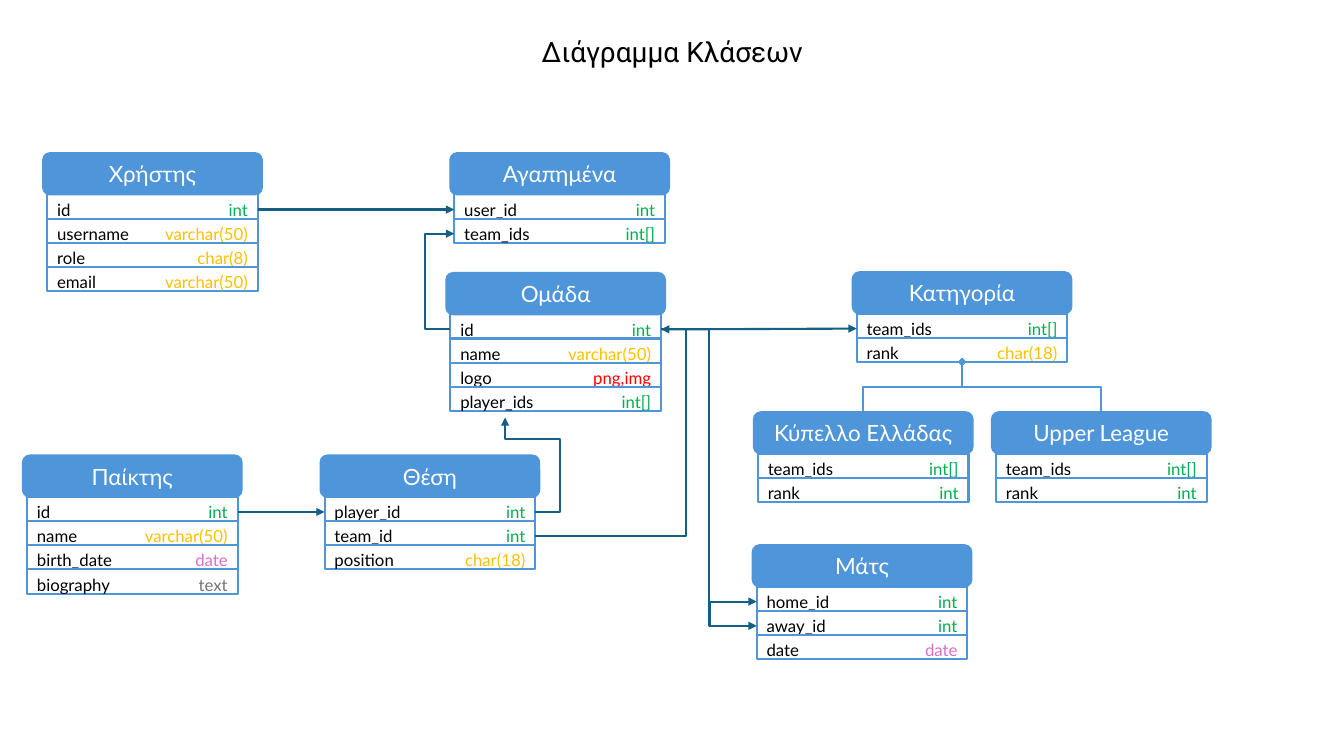
from lxml import etree
from pptx import Presentation
from pptx import util as u
from pptx.dml import color
from pptx.enum import shapes, text
from pptx.oxml import ns

COLOURS = {
    "card": "4E95D9", "link": "156082", "black": "000000", "white": "FFFFFF",
    "int": "00B050", "char": "FFC000", "png": "FF0000", "date": "D86ECC", "text": "747474",
}
HEADER_WIDTH, HEADER_HEIGHT = 5.51, 1.04
INSET, ROW_WIDTH, ROW_HEIGHT = 0.1, 5.31, 0.61
KEY_WIDTH, TYPE_WIDTH, LABEL_HEIGHT = 2.74, 2.59, 0.76

CARDS = {
    "Χρήστης": (1.09, 3.86, [("id", "int"), ("username", "varchar(50)"),
                             ("role", "char(8)"), ("email", "varchar(50)")]),
    "Αγαπημένα": (11.35, 3.86, [("user_id", "int"), ("team_ids", "int[]")]),
    "Ομάδα": (11.25, 6.88, [("id", "int"), ("name", "varchar(50)"),
                            ("logo", "png,img"), ("player_ids", "int[]")]),
    "Παίκτης": (0.58, 11.48, [("id", "int"), ("name", "varchar(50)"),
                              ("birth_date", "date"), ("biography", "text")]),
    "Θέση": (8.08, 11.48, [("player_id", "int"), ("team_id", "int"), ("position", "char(18)")]),
    "Κατηγορία": (21.49, 6.86, [("team_ids", "int[]"), ("rank", "char(18)")]),
    "Κύπελλο Ελλάδας": (19.0, 10.39, [("team_ids", "int[]"), ("rank", "int")]),
    "Upper League": (25.0, 10.39, [("team_ids", "int[]"), ("rank", "int")]),
    "Μάτς": (18.97, 13.74, [("home_id", "int"), ("away_id", "int"), ("date", "date")]),
}


def rgb(name):
    """Return the named colour."""
    return color.RGBColor.from_string(COLOURS[name])


def type_colour(type_name):
    """Return the colour name for a field type."""
    return next(key for key in ("int", "char", "png", "date", "text") if key in type_name)


def write(shape, content, size, font, colour, alignment):
    """Put one styled paragraph in a shape."""
    shape.text_frame.word_wrap = True
    paragraph = shape.text_frame.paragraphs[0]
    paragraph.text = content
    paragraph.alignment = alignment
    paragraph.font.size = u.Pt(size)
    paragraph.font.name = font
    paragraph.font.color.rgb = rgb(colour)
    return paragraph


def add_box(parent, kind, left, top, width, height):
    """Add a card outline shape without fill."""
    shape = parent.add_shape(kind, u.Cm(left), u.Cm(top), u.Cm(width), u.Cm(height))
    shape.shadow.inherit = False
    shape.fill.background()
    shape.line.color.rgb = rgb("card")
    shape.line.width = u.Pt(1.5)
    return shape


def add_label(parent, left, top, width, content, colour, alignment):
    """Add a field name or type."""
    label = parent.add_textbox(u.Cm(left), u.Cm(top), u.Cm(width), u.Cm(LABEL_HEIGHT))
    write(label, content, 12, "Lato", colour, alignment)
    label.text_frame.auto_size = text.MSO_AUTO_SIZE.SHAPE_TO_FIT_TEXT


def add_title(slide, left, top, width, height):
    """Add the slide heading."""
    title = slide.shapes.add_textbox(u.Cm(left), u.Cm(top), u.Cm(width), u.Cm(height))
    title.text_frame.vertical_anchor = text.MSO_ANCHOR.MIDDLE
    paragraph = write(title, "Διάγραμμα Κλάσεων", 20, "Roboto", "black", text.PP_ALIGN.CENTER)
    paragraph.line_spacing = 0.9


def add_card(slide, name, left, top, fields):
    """Add one class card with its header and field rows."""
    parent = slide.shapes.add_group_shape().shapes
    header = add_box(parent, shapes.MSO_SHAPE.ROUNDED_RECTANGLE,
                     left, top, HEADER_WIDTH, HEADER_HEIGHT)
    header.fill.solid()
    header.fill.fore_color.rgb = rgb("card")
    header.text_frame.vertical_anchor = text.MSO_ANCHOR.MIDDLE
    write(header, name, 16, "Lato", "white", text.PP_ALIGN.CENTER)
    row_left = left + INSET
    for index, (key, type_name) in enumerate(fields):
        row_top = top + HEADER_HEIGHT + index * ROW_HEIGHT
        add_box(parent, shapes.MSO_SHAPE.RECTANGLE, row_left, row_top, ROW_WIDTH, ROW_HEIGHT)
        add_label(parent, row_left, row_top, KEY_WIDTH, key, "black", text.PP_ALIGN.LEFT)
        add_label(parent, row_left + ROW_WIDTH - TYPE_WIDTH, row_top, TYPE_WIDTH,
                  type_name, type_colour(type_name), text.PP_ALIGN.RIGHT)


def left_port(name, row):
    """Return the left link point of a field row."""
    left, top, _ = CARDS[name]
    return left + INSET, top + HEADER_HEIGHT + row * ROW_HEIGHT + LABEL_HEIGHT / 2


def right_port(name, row):
    """Return the right link point of a field row."""
    x, y = left_port(name, row)
    return x + ROW_WIDTH, y


def top_port(name):
    """Return the middle of a card's top edge."""
    left, top, _ = CARDS[name]
    return left + HEADER_WIDTH / 2, top


def bottom_port(name):
    """Return the middle of a card's bottom edge."""
    left, top, fields = CARDS[name]
    return left + HEADER_WIDTH / 2, top + HEADER_HEIGHT + len(fields) * ROW_HEIGHT


def add_link(slide, kind, start, end, colour="link", head="triangle"):
    """Add a connector with an end marker."""
    link = slide.shapes.add_connector(kind, *(u.Cm(value) for value in (*start, *end)))
    link.line.color.rgb = rgb(colour)
    link.line.width = u.Pt(1.5)
    properties = link._element.spPr
    etree.SubElement(properties.find(ns.qn("a:ln")), ns.qn("a:tailEnd"), type=head)
    etree.SubElement(properties, ns.qn("a:effectLst"))
    return link


def add_elbow(slide, start, end, bend_x, bend_y=None):
    """Add a link that leaves sideways and turns at the given places."""
    link = add_link(slide, shapes.MSO_CONNECTOR.ELBOW, start, end)
    ratios = [(bend_x - start[0]) / (end[0] - start[0])]
    geometry = link._element.spPr.find(ns.qn("a:prstGeom"))
    if bend_y is not None:
        geometry.set("prst", "bentConnector4")
        ratios.append((bend_y - start[1]) / (end[1] - start[1]))
    guides = geometry.find(ns.qn("a:avLst"))
    for number, ratio in enumerate(ratios, 1):
        etree.SubElement(guides, ns.qn("a:gd"), name=f"adj{number}",
                         fmla=f"val {round(ratio * 100000)}")


def add_branch(slide, start, end):
    """Add a link that rises, crosses and rises into a parent card."""
    middle_x, middle_y = (start[0] + end[0]) / 2, (start[1] + end[1]) / 2
    half_rise, half_run = (start[1] - end[1]) / 2, (end[0] - start[0]) / 2
    link = add_link(slide, shapes.MSO_CONNECTOR.ELBOW,
                    (middle_x - half_rise, middle_y - half_run),
                    (middle_x + half_rise, middle_y + half_run), "card", "diamond")
    link._element.spPr.find(ns.qn("a:xfrm")).set("rot", str(270 * 60000))


def add_links(slide):
    """Join the class cards."""
    team_right = right_port("Ομάδα", 0)
    for start, end in (
        (right_port("Χρήστης", 0), left_port("Αγαπημένα", 0)),
        (right_port("Παίκτης", 0), left_port("Θέση", 0)),
        (team_right, left_port("Κατηγορία", 0)),
    ):
        add_link(slide, shapes.MSO_CONNECTOR.STRAIGHT, start, end)
    match_x, home, away = 17.88, left_port("Μάτς", 0), left_port("Μάτς", 1)
    add_elbow(slide, left_port("Ομάδα", 0), left_port("Αγαπημένα", 1), 10.72)
    add_elbow(slide, right_port("Θέση", 1), team_right, 17.3)
    add_elbow(slide, right_port("Θέση", 0), (12.73, 10.52), 14.12, 11.07)
    add_elbow(slide, team_right, home, match_x)
    add_elbow(slide, (match_x, home[1]), away, match_x)
    for child in ("Κύπελλο Ελλάδας", "Upper League"):
        add_branch(slide, top_port(child), bottom_port("Κατηγορία"))


def main():
    """Build and save the class diagram."""
    presentation = Presentation()
    presentation.slide_width, presentation.slide_height = u.Cm(33.87), u.Cm(19.05)
    slide = presentation.slides.add_slide(presentation.slide_layouts[6])
    add_title(slide, 2.34, 1.02, 29.21, 0.66)
    for name, (left, top, fields) in CARDS.items():
        add_card(slide, name, left, top, fields)
    add_links(slide)
    presentation.save("out.pptx")


if __name__ == "__main__":
    main()
